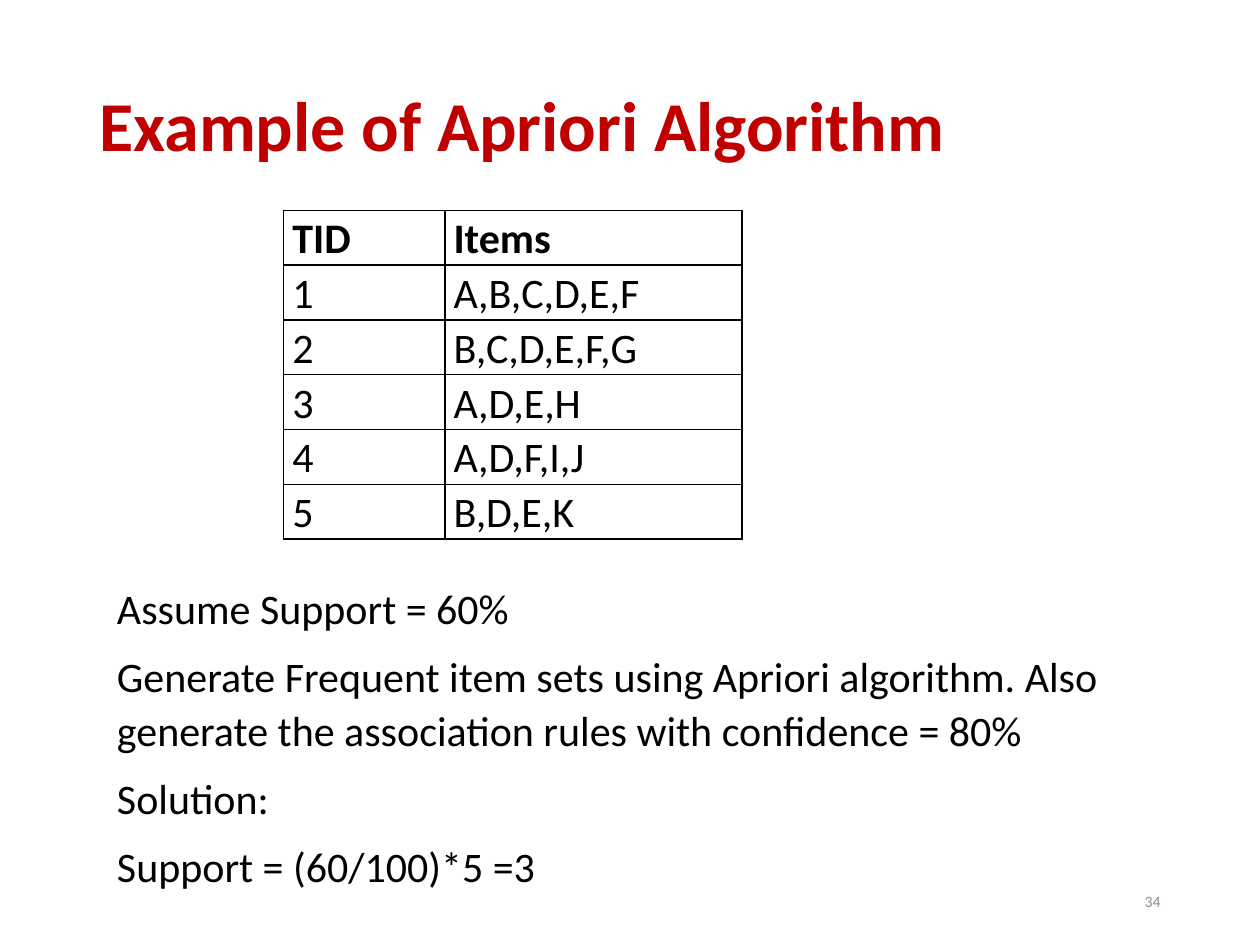
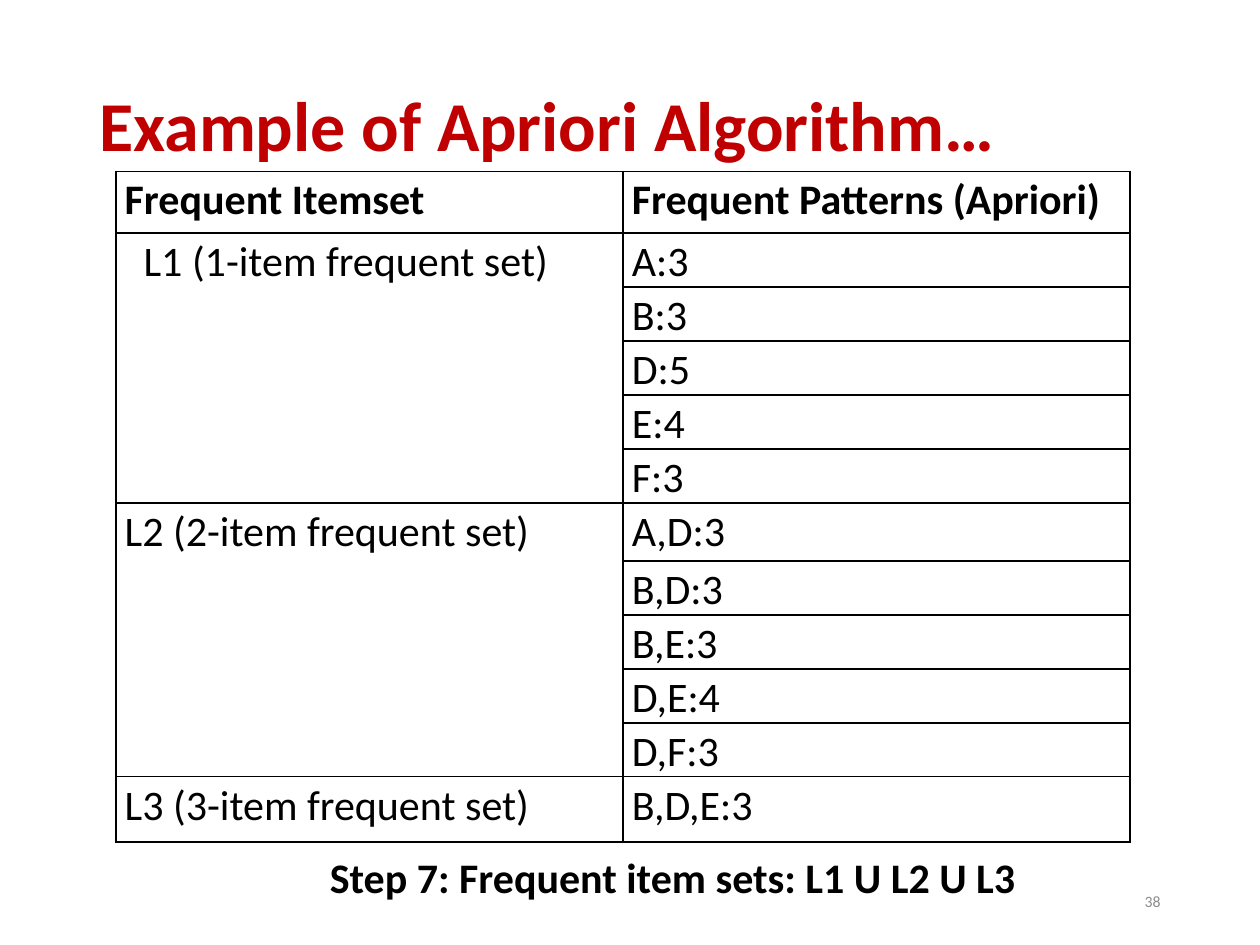
from lxml.etree import SubElement
from pptx import Presentation
from pptx.dml.color import RGBColor
from pptx.enum.text import MSO_ANCHOR, PP_ALIGN
from pptx.oxml.ns import qn
from pptx.util import Inches, Pt

COLS, ROWS = 100, 75
FONT = "Calibri"
BLACK, RED, GREY, WHITE = "000000", "C00000", "8C8C8C", "FFFFFF"
TITLE_BOX = (6.9, 3, 86.2, 14.5)
NUMBER_BOX = (70.6, 69.5, 22.5, 4)
CELL_INSET = 0.7

prs = Presentation()
prs.slide_width, prs.slide_height = Inches(10), Inches(7.5)


def across(n):
    """Return the width of n grid columns."""
    return int(prs.slide_width * n / COLS)


def down(n):
    """Return the height of n grid rows."""
    return int(prs.slide_height * n / ROWS)


def rgb(color):
    """Turn a hex string into a colour."""
    return RGBColor.from_string(color)


def add_run(p, text, size=24, color=BLACK, bold=False):
    """Add one styled run to a paragraph."""
    r = p.add_run()
    r.text = text
    r.font.name, r.font.size, r.font.bold = FONT, Pt(size), bold
    r.font.color.rgb = rgb(color)


def add_text(s, box, lines, spacing=1.07, after=8, anchor=MSO_ANCHOR.TOP,
             align=PP_ALIGN.LEFT, **style):
    """Place a wrapped text box with one paragraph per line."""
    x, y, w, h = box
    tf = s.shapes.add_textbox(across(x), down(y), across(w), down(h)).text_frame
    tf.word_wrap, tf.vertical_anchor = True, anchor
    for i, line in enumerate(lines):
        p = tf.add_paragraph() if i else tf.paragraphs[0]
        p.line_spacing, p.space_after, p.alignment = spacing, Pt(after), align
        add_run(p, line, **style)


def add_borders(cell):
    """Draw thin black lines on all sides of a cell."""
    tcPr = cell._tc.get_or_add_tcPr()
    for side in ("lnL", "lnR", "lnT", "lnB"):
        ln = SubElement(tcPr, qn(f"a:{side}"), w=str(Pt(1)))
        SubElement(SubElement(ln, qn("a:solidFill")), qn("a:srgbClr"), val=BLACK)


def add_grid_table(s, x, y, widths, heights, rows, indents=None):
    """Place a ruled table with a bold head; None continues the cell above."""
    indents = indents or {}
    tbl = s.shapes.add_table(len(rows), len(widths), across(x), down(y),
                             across(sum(widths)), down(sum(heights))).table
    tbl.first_row = tbl.horz_banding = False
    for col, w in zip(tbl.columns, widths):
        col.width = across(w)
    for row, h in zip(tbl.rows, heights):
        row.height = down(h)
    for i, values in enumerate(rows):
        for j, value in enumerate(values):
            cell = tbl.cell(i, j)
            add_borders(cell)
            cell.fill.background()
            cell.margin_top = cell.margin_bottom = 0
            cell.margin_left = across(CELL_INSET + indents.get((i, j), 0))
            cell.margin_right = across(CELL_INSET)
            p = cell.text_frame.paragraphs[0]
            p.line_spacing = 1.07
            if value is not None:
                add_run(p, value, bold=i == 0)
    return tbl


def add_base(title, number):
    """Start a slide with its title and page number."""
    s = prs.slides.add_slide(prs.slide_layouts[6])
    s.background.fill.solid()
    s.background.fill.fore_color.rgb = rgb(WHITE)
    add_text(s, TITLE_BOX, [title], 0.9, 0, MSO_ANCHOR.MIDDLE,
             size=40, color=RED, bold=True)
    add_text(s, NUMBER_BOX, [number], 1.0, 0, MSO_ANCHOR.MIDDLE, PP_ALIGN.RIGHT,
             size=9, color=GREY)
    return s


def build_problem():
    """Build the slide with the transactions and the task."""
    s = add_base("Example of Apriori Algorithm", "34")
    items = ["A,B,C,D,E,F", "B,C,D,E,F,G", "A,D,E,H", "A,D,F,I,J", "B,D,E,K"]
    rows = [("TID", "Items")] + [(str(n), t) for n, t in enumerate(items, 1)]
    add_grid_table(s, 22.5, 16.7, (12.8, 23.6), [4.35] * len(rows), rows)
    add_text(s, (8.3, 45.5, 85.8, 26), [
        "Assume Support = 60%",
        "Generate Frequent item sets using Apriori algorithm. Also generate "
        "the association rules with confidence = 80%",
        "Solution:",
        "Support = (60/100)*5 =3",
    ])


def build_result():
    """Build the slide with the frequent patterns of each level."""
    s = add_base("Example of Apriori Algorithm…", "38")
    levels = [
        ("L1 (1-item frequent set)", ["A:3", "B:3", "D:5", "E:4", "F:3"]),
        ("L2 (2-item frequent set)", ["A,D:3", "B,D:3", "B,E:3", "D,E:4", "D,F:3"]),
        ("L3 (3-item frequent set)", ["B,D,E:3"]),
    ]
    rows, spans = [("Frequent Itemset", "Frequent Patterns (Apriori)")], []
    for name, patterns in levels:
        spans.append((len(rows), len(rows) + len(patterns) - 1))
        rows += [(None if k else name, t) for k, t in enumerate(patterns)]
    heights = [4.9] + [4.28] * 5 + [4.6] + [4.28] * 4 + [5.2]
    tbl = add_grid_table(s, 9.2, 13.6, (40.25, 40.25), heights, rows, {(1, 0): 1.5})
    for first, last in spans:
        if last > first:
            tbl.cell(first, 0).merge(tbl.cell(last, 0))
    add_text(s, (25.2, 66.8, 56.7, 5.3),
             ["Step 7: Frequent item sets: L1 U L2 U L3"], bold=True)


def main():
    """Build both slides and save the file."""
    build_problem()
    build_result()
    prs.save("out.pptx")


if __name__ == "__main__":
    main()
